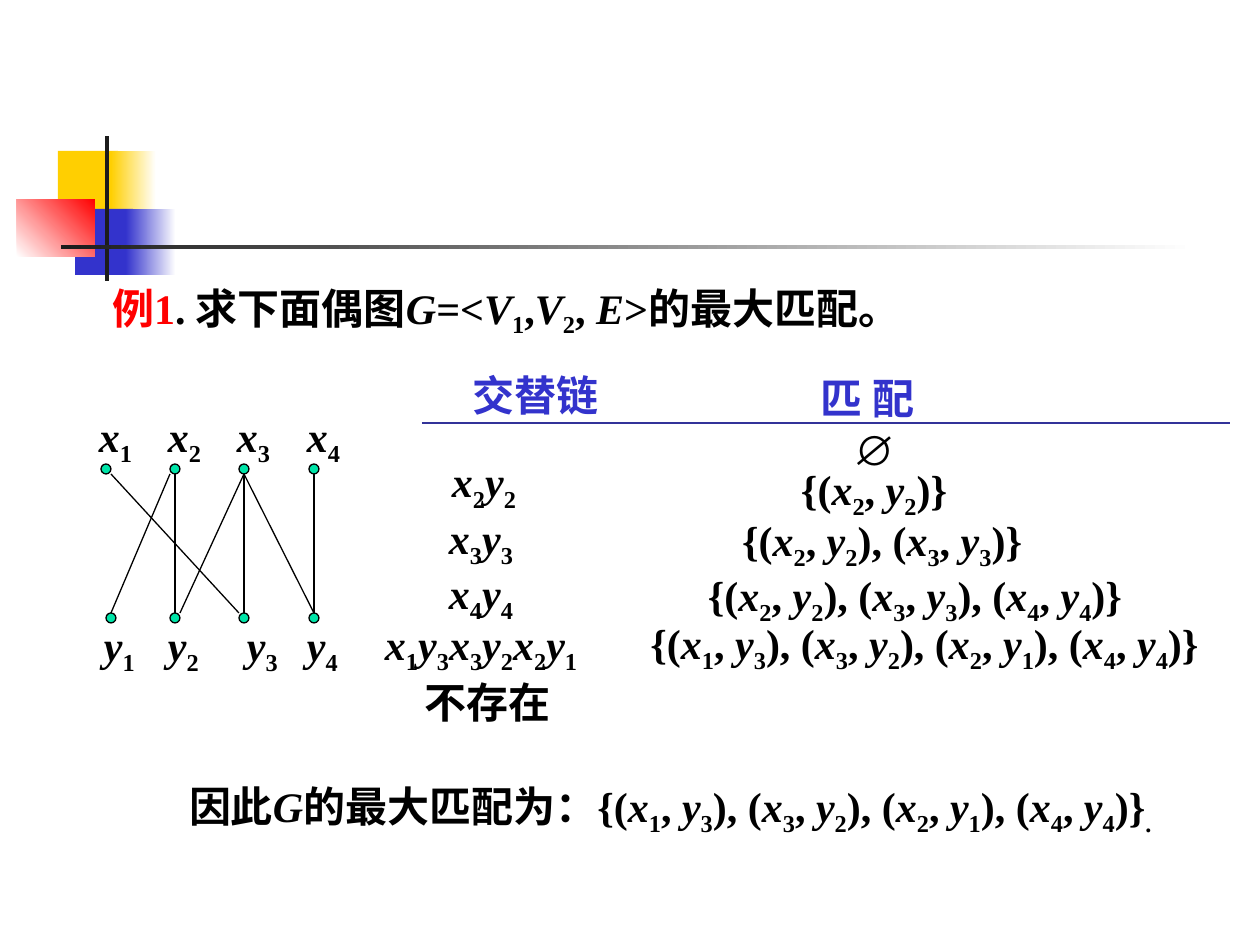
import itertools

import pptx
import pptx.dml.color
import pptx.enum.shapes
import pptx.enum.text
import pptx.oxml.ns
import pptx.util

PX = 914400 / 126
COLORS = {
    "yellow": "FFCF01", "blue": "3333CC", "red": "FF0000", "white": "FFFFFF",
    "charcoal": "1C1C1C", "black": "000000", "mint": "00E4A8", "rule": "333399",
}
SERIF, SANS, CJK = "Times New Roman", "Arial", "Noto Sans CJK SC"
VARIABLES = "xyGVE"
MAXIMUM = "{(x_1, y_3), (x_3, y_2), (x_2, y_1), (x_4, y_4)}"
LEFT, CENTER = pptx.enum.text.PP_ALIGN.LEFT, pptx.enum.text.PP_ALIGN.CENTER


def emu(*lengths):
    return [round(length * PX) for length in lengths]


def rgb(name):
    return pptx.dml.color.RGBColor.from_string(COLORS[name])


def split_math(markup):
    """Yield (text, italic, subscript); an underscore lowers the next character."""
    styled = []
    lowered = False
    for char in markup:
        if char == "_":
            lowered = True
            continue
        styled.append((char, char in VARIABLES, lowered))
        lowered = False
    for style, chars in itertools.groupby(styled, key=lambda item: item[1:]):
        yield "".join(char for char, *_ in chars), *style


def add_text(slide, box, parts, align=LEFT, font=SERIF, inset=6, left_inset=13,
             spacing=None, drop=-25):
    """Write (markup, color) parts on one line; drop is the subscript offset in percent."""
    frame = slide.shapes.add_textbox(*emu(*box)).text_frame
    frame.word_wrap = True
    frame.margin_left, frame.margin_right = emu(left_inset, 13)
    frame.margin_top, frame.margin_bottom = emu(inset, inset)
    line = frame.paragraphs[0]
    line.alignment = align
    if spacing:
        line.line_spacing = spacing
    for markup, color in parts:
        for text, italic, subscript in split_math(markup):
            run = line.add_run()
            run.text = text
            run.font.size = pptx.util.Pt(24)
            run.font.bold = True
            run.font.italic = italic
            run.font.color.rgb = rgb(color)
            run.font.name = font
            properties = run.font._element
            east_asian = properties.makeelement(pptx.oxml.ns.qn("a:ea"), {"typeface": CJK})
            properties.append(east_asian)
            if subscript:
                properties.set("baseline", str(drop * 1000))


def add_line(slide, start, end, color):
    connector = slide.shapes.add_connector(
        pptx.enum.shapes.MSO_CONNECTOR.STRAIGHT, *emu(*start, *end))
    connector.line.color.rgb = rgb(color)
    connector.line.width = pptx.util.Pt(0.75)
    properties = connector._element.spPr
    properties.append(properties.makeelement(pptx.oxml.ns.qn("a:effectLst"), {}))


def add_ornament(slide, left, top):
    """Draw the overlapping squares and the crossed bars."""
    pieces = [
        ((41, 15, 60, 65), ["yellow"], 0),
        ((94, 15, 45, 65), ["yellow", "white"], 0),
        ((58, 73, 58, 66), ["blue"], 0),
        ((109, 73, 50, 66), ["blue", "white"], 0),
        ((0, 63, 78, 58), ["white", "red"], 45),
        ((88, 0, 4, 145), ["charcoal"], 0),
        ((44, 109, 1134, 4), ["charcoal", "white"], 0),
    ]
    for (x, y, width, height), colors, angle in pieces:
        piece = slide.shapes.add_shape(
            pptx.enum.shapes.MSO_SHAPE.RECTANGLE, *emu(left + x, top + y, width, height))
        piece.shadow.inherit = False
        piece.line.fill.background()
        if len(colors) == 1:
            piece.fill.solid()
            piece.fill.fore_color.rgb = rgb(colors[0])
        else:
            piece.fill.gradient()
            piece.fill.gradient_angle = angle
            for stop, color in zip(piece.fill.gradient_stops, colors):
                stop.color.rgb = rgb(color)


def add_bipartite_graph(slide, left, top):
    dot, depth = 10, 149
    x_dots = [0, 69, 138, 208]
    y_dots = [5, 69, 138, 208]
    x_label_top, y_label_top = -60, 149
    x_labels = [-15, 54, 123, 193]
    y_labels = [-10, 54, 133, 193]
    # Each edge: x index, shift at x, y index, shift at y
    edges = [(0, 5, 2, -5), (1, -5, 0, 0), (1, 0, 1, 0), (2, 0, 1, 5),
             (2, 0, 2, 0), (2, 0, 3, 0), (3, 0, 3, 0)]
    for dots, y in ((x_dots, 0), (y_dots, depth)):
        for x in dots:
            vertex = slide.shapes.add_shape(
                pptx.enum.shapes.MSO_SHAPE.OVAL, *emu(left + x, top + y, dot, dot))
            vertex.shadow.inherit = False
            vertex.fill.solid()
            vertex.fill.fore_color.rgb = rgb("mint")
            vertex.line.color.rgb = rgb("black")
            vertex.line.width = pptx.util.Pt(0.75)
    for x_index, x_shift, y_index, y_shift in edges:
        add_line(slide,
                 (left + x_dots[x_index] + dot / 2 + x_shift, top + dot),
                 (left + y_dots[y_index] + dot / 2 + y_shift, top + depth),
                 "black")
    for letter, places, y in (("x", x_labels, x_label_top), ("y", y_labels, y_label_top)):
        for number, x in enumerate(places, 1):
            add_text(slide, (left + x, top + y, 74, 71), [(f"{letter}_{number}", "black")])


def add_matching_steps(slide, left, top):
    """List each alternating chain beside the matching it gives."""
    add_line(slide, (left + 50, top + 59), (left + 858, top + 59), "rule")
    add_text(slide, (left + 88, top, 198, 63), [("交替链", "blue")])
    add_text(slide, (left + 436, top + 3, 239, 63), [("匹 配", "blue")], font=CJK)
    add_text(slide, (left + 469, top + 54, 74, 63), [("∅", "black")], font=SANS)
    steps = [
        ((67, 86, 100, 71), "x_2y_2", (416, 93, 219, 71), "{(x_2, y_2)}"),
        ((64, 142, 150, 71), "x_3y_3", (357, 144, 411, 71), "{(x_2, y_2), (x_3, y_3)}"),
        ((64, 197, 186, 71), "x_4y_4", (323, 199, 503, 71),
         "{(x_2, y_2), (x_3, y_3), (x_4, y_4)}"),
    ]
    for chain_box, chain, matching_box, matching in steps:
        for (x, y, width, height), markup in ((chain_box, chain), (matching_box, matching)):
            add_text(slide, (left + x, top + y, width, height), [(markup, "black")])
    add_text(slide, (left, top + 254, 297, 58),
             [("x_1y_3x_3y_2x_2y_1", "black")], inset=0)
    add_text(slide, (left + 263, top + 253, 592, 58), [(MAXIMUM, "black")],
             align=CENTER, inset=0, left_inset=0)
    add_text(slide, (left + 40, top + 313, 297, 50), [("不存在", "black")], inset=0)


def main():
    deck = pptx.Presentation()
    deck.slide_width, deck.slide_height = emu(1260, 945)
    slide = deck.slides.add_slide(deck.slide_layouts[6])
    add_ornament(slide, 17, 136)
    add_bipartite_graph(slide, 101, 464)
    add_matching_steps(slide, 372, 364)
    add_text(slide, (99, 265, 888, 81),
             [("例1", "red"), (". 求下面偶图G=<V_1,V_2, E>的最大匹配。", "black")],
             spacing=1.2, drop=-22)
    add_text(slide, (176, 780, 1038, 58),
             [(f"因此G的最大匹配为：{MAXIMUM}_.", "black")], inset=0)
    deck.save("out.pptx")


if __name__ == "__main__":
    main()
